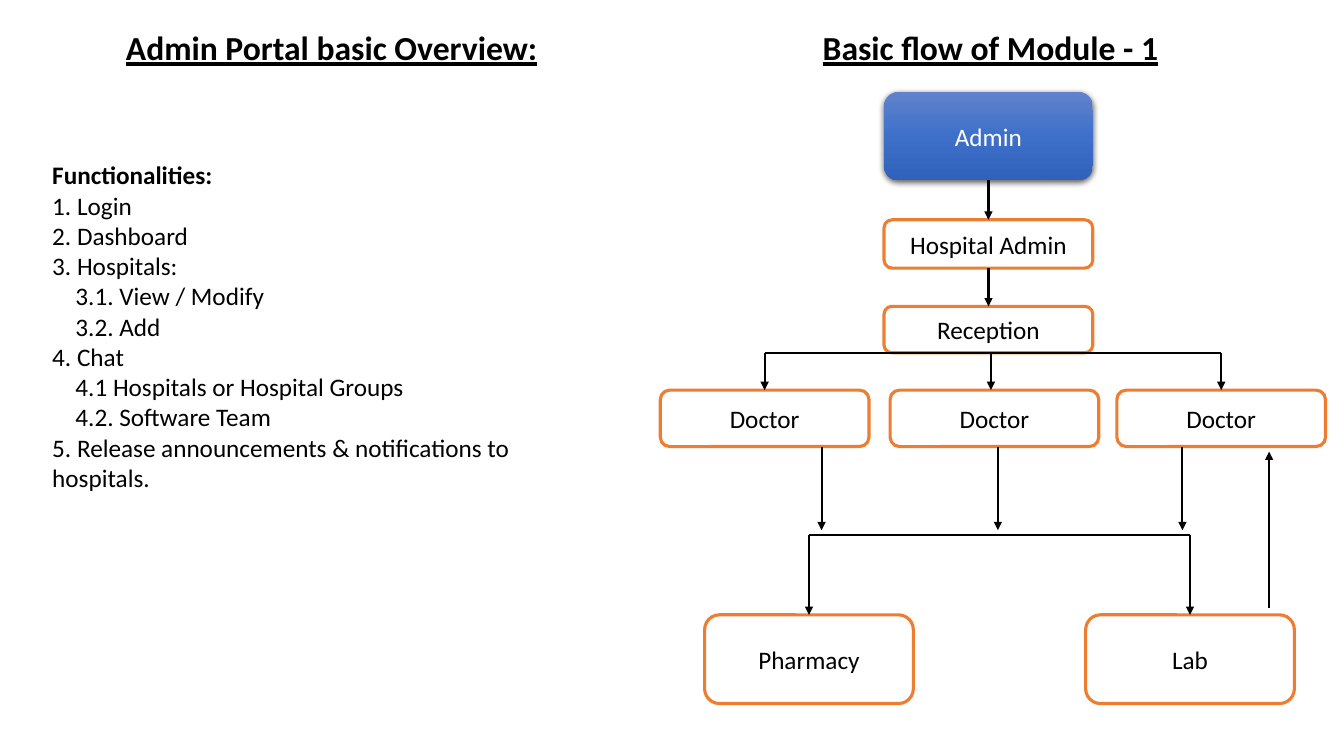
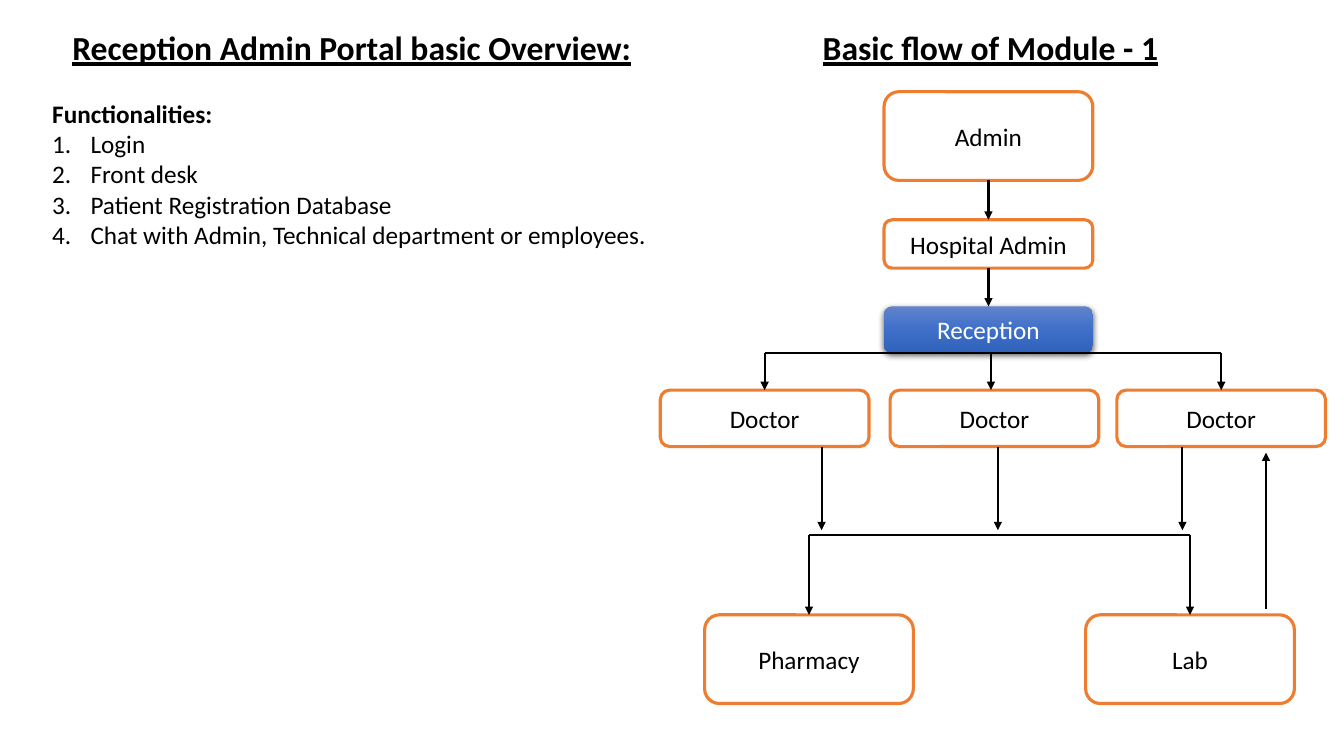
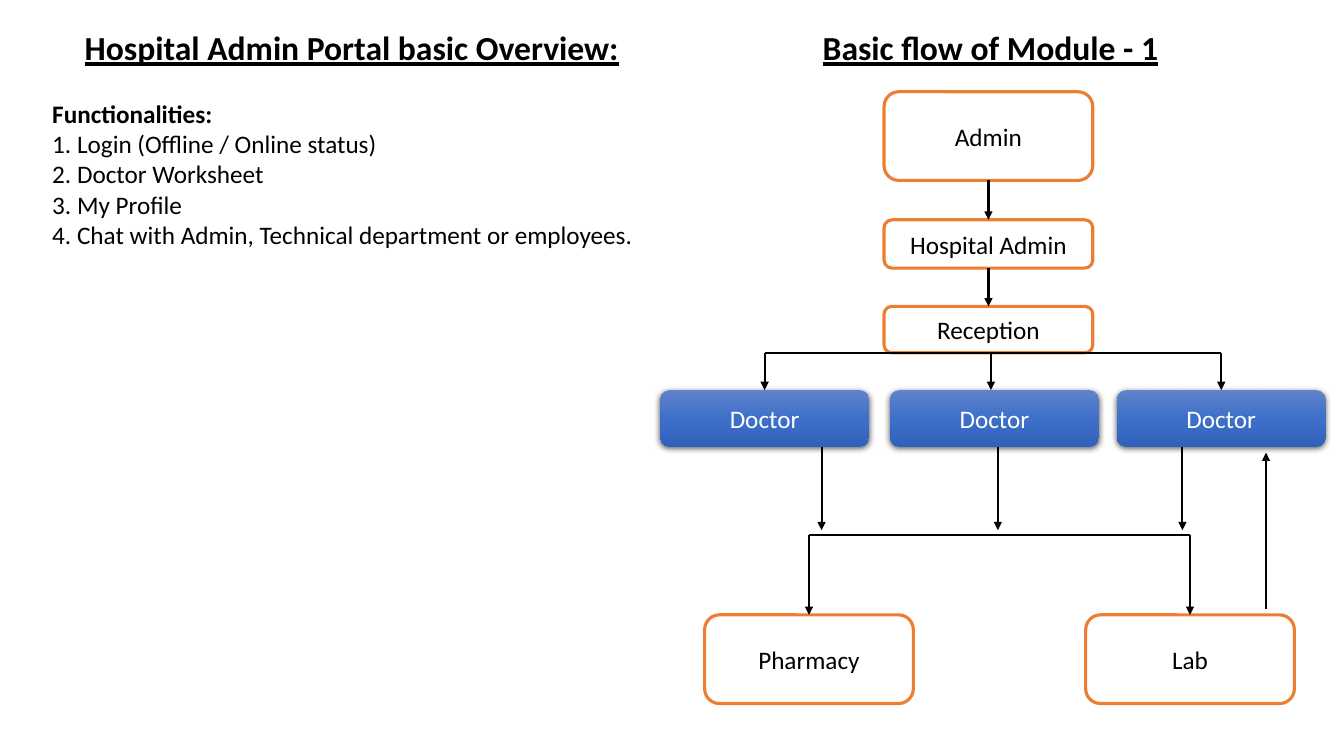
"""Build three portal overviews, each beside the module flow chart."""
from copy import deepcopy

from lxml import etree
from pptx import Presentation
from pptx.dml.color import RGBColor
from pptx.enum.shapes import MSO_CONNECTOR, MSO_SHAPE
from pptx.enum.text import MSO_ANCHOR, PP_ALIGN
from pptx.oxml.ns import qn
from pptx.util import Inches, Pt

STRAIGHT = MSO_CONNECTOR.STRAIGHT
ROUND = MSO_SHAPE.ROUNDED_RECTANGLE
CENTER, MIDDLE = PP_ALIGN.CENTER, MSO_ANCHOR.MIDDLE
TOP, BOTTOM = 0, 2
BLACK, WHITE, ORANGE = "000000", "FFFFFF", "ED7D31"
BLUES = ["6183CB", "3E70CA", "3062BB"]
FONT = "Calibri"

deck = Presentation()
deck.slide_width, deck.slide_height = Inches(13.33), Inches(7.5)
COL, ROW = deck.slide_width / 100, deck.slide_height / 100

WIDE = 15.53
MID = 65.78
DOCS = [49.13, 66.23, 83.1]
BOXES = [
    ("Admin", MID, 12.13, 11.73),
    ("Hospital Admin", MID, 29.07, 6.4),
    ("Reception", MID, 40.53, 6.13),
    *[("Doctor", left, 51.6, 7.47) for left in DOCS],
    ("Pharmacy", 52.43, 81.33, 11.73),
    ("Lab", 80.78, 81.33, 11.73),
]
FORK, RAIL = 46.67, 70.8

PAGES = [
    {"title": "Admin Portal basic Overview:", "active": "Admin",
     "size": (43.05, 67.33), "gap": 3, "auto": False, "back": (94.43, 80.4, 59.73),
     "list": ["1. Login", "2. Dashboard", "3. Hospitals:",
              "3.1. View / Modify", "3.2. Add", "4. Chat",
              "4.1 Hospitals or Hospital Groups", "4.2. Software Team",
              "5. Release announcements & notifications to\vhospitals."]},
    {"title": "Reception Admin Portal basic Overview:", "active": "Reception",
     "size": (46.05, 35.07), "gap": 1, "auto": True, "back": (94.2, 80.53, 59.87),
     "list": ["Login", "Front desk", "Patient Registration Database",
              "Chat with Admin, Technical department or employees."]},
    {"title": "Hospital Admin Portal basic Overview:", "active": "Doctor",
     "size": (46.05, 35.07), "gap": 1, "auto": False, "back": (94.2, 80.53, 59.87),
     "list": ["1. Login (Offline / Online status)", "2. Doctor Worksheet", "3. My Profile",
              "4. Chat with Admin, Technical department or employees."]},
]


def ink(color, code):
    """Set a colour from its hex string."""
    color.rgb = RGBColor.from_string(code)


def wire(slide, x1, y1, x2, y2, start=None, end=None, arrow=True):
    """Draw a line in grid units, joined to the boxes given."""
    line = slide.shapes.add_connector(
        STRAIGHT, int(x1 * COL), int(y1 * ROW), int(x2 * COL), int(y2 * ROW))
    if start is not None:
        line.begin_connect(start, BOTTOM)
    if end is not None:
        line.end_connect(end, TOP)
    line.line.width = Pt(1.5)
    ink(line.line.color, BLACK)
    if arrow:
        etree.SubElement(line.line._get_or_add_ln(), qn("a:tailEnd"), type="triangle")
    etree.SubElement(line._element.spPr, qn("a:effectLst"))


for page in PAGES:
    slide = deck.slides.add_slide(deck.slide_layouts[6])

    notes = [page["title"], "Functionalities:", *page["list"]]
    for left, (wide, high), lines in [(3.15, page["size"], notes),
                                      (56.33, (34.73, 6.67), ["Basic flow of Module - 1"])]:
        area = slide.shapes.add_textbox(
            int(left * COL), int(2.93 * ROW), int(wide * COL), int(high * ROW))
        frame = area.text_frame
        frame.word_wrap = True
        for rank, text in enumerate(lines):
            para = frame.add_paragraph() if rank else frame.paragraphs[0]
            para.text = text
            font = para.font
            font.name, font.size = FONT, Pt(18 if rank else 24)
            font.bold, font.underline = rank < 2, rank == 0
            ink(font.color, BLACK)
            if rank == 0:
                para.alignment = CENTER
            elif rank == 1:
                para.space_before = Pt(22 * page["gap"])
            elif page["auto"]:
                props = para._p.get_or_add_pPr()
                props.set("marL", str(Inches(0.38)))
                props.set("indent", str(-Inches(0.38)))
                mark = etree.Element(qn("a:buAutoNum"), type="arabicPeriod")
                props.insert(0, mark)
            elif text[2].isdigit():
                para._p.get_or_add_pPr().set("marL", str(Inches(0.23)))

    nodes = []
    for name, left, top, high in BOXES:
        box = slide.shapes.add_shape(
            ROUND, int(left * COL), int(top * ROW), int(WIDE * COL), int(high * ROW))
        box.shadow.inherit = False
        active = name == page["active"]
        if active:
            box.fill.gradient()
            box.fill.gradient_angle = 270
            stops = box._element.spPr.find(".//" + qn("a:gsLst"))
            stops.insert(1, deepcopy(stops[0]))
            for rank, stop in enumerate(box.fill.gradient_stops):
                stop.position = rank / 2
                ink(stop.color, BLUES[rank])
            box.line.fill.background()
            glow = etree.SubElement(
                box._element.spPr.find(qn("a:effectLst")), qn("a:outerShdw"),
                blurRad=str(Pt(4.5)), dist=str(Pt(1.5)), dir="5400000", rotWithShape="0")
            shade = etree.SubElement(glow, qn("a:srgbClr"), val=BLACK)
            etree.SubElement(shade, qn("a:alpha"), val="63000")
        else:
            box.fill.solid()
            ink(box.fill.fore_color, WHITE)
            box.line.width = Pt(2.25)
            ink(box.line.color, ORANGE)
        frame = box.text_frame
        frame.text = name
        frame.vertical_anchor = MIDDLE
        para = frame.paragraphs[0]
        para.alignment = CENTER
        font = para.runs[0].font
        font.name, font.size = FONT, Pt(18)
        ink(font.color, WHITE if active else BLACK)
        nodes.append(box)

    admin, head, desk, first, second, third, drugs, lab = nodes
    half = WIDE / 2
    wire(slide, 0, 0, 0, 0, admin, head)
    wire(slide, 0, 0, 0, 0, head, desk)
    wire(slide, 73.73, FORK, 73.73, 51.6)
    for level, ends in [(FORK, (first, third)), (RAIL, (drugs, lab))]:
        mids = [box.left / COL + half for box in ends]
        for mid, box in zip(mids, ends):
            wire(slide, mid, level, mid, level, end=box)
        wire(slide, mids[0], level, mids[1], level, arrow=False)
    for mid in (61.13, 74.25, 87.98):
        wire(slide, mid, 59.07, mid, 70.13)
    mid, low, high = page["back"]
    wire(slide, mid, low, mid, high)

deck.save("out.pptx")
